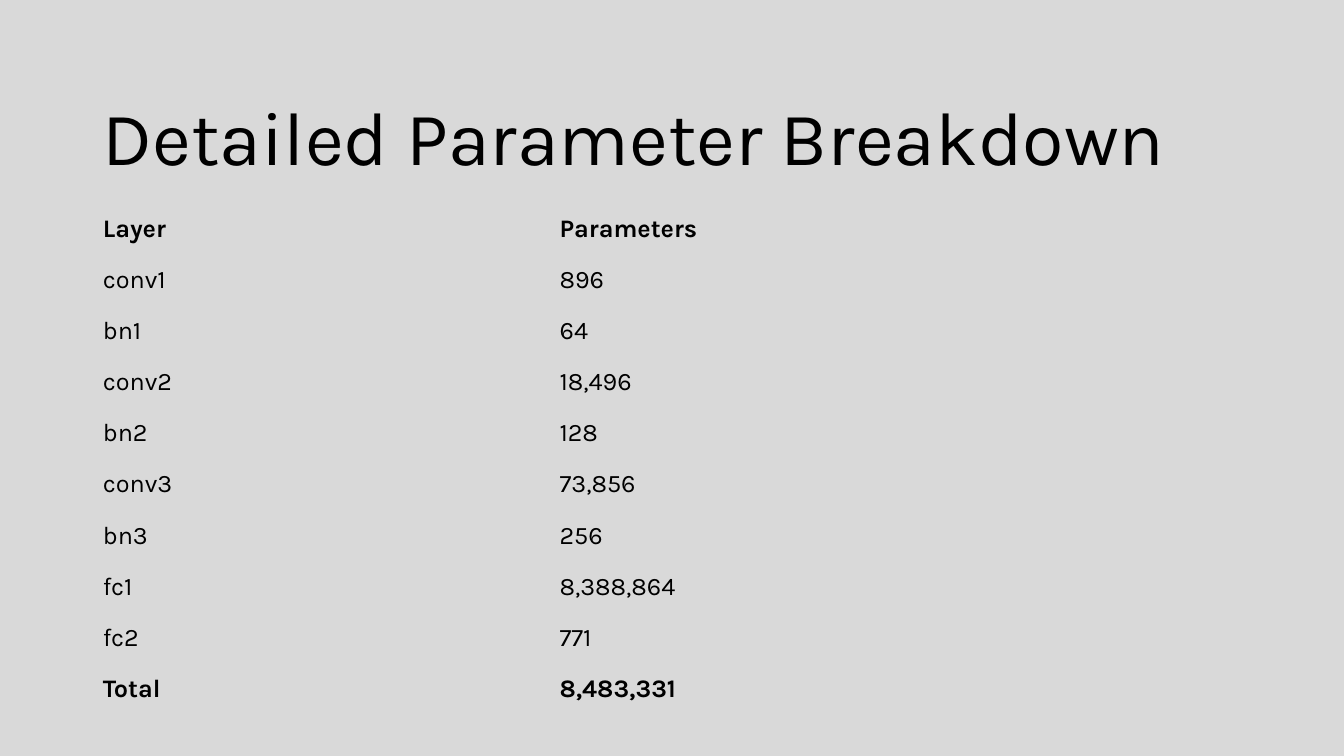
"""Build the slide listing the parameter count of each network layer."""
from pptx import Presentation
from pptx.dml.color import RGBColor
from pptx.enum.text import MSO_ANCHOR
from pptx.util import Inches, Pt

TITLE = "Detailed Parameter Breakdown"
ROWS = [
    ("Layer", "Parameters"),
    ("conv1", "896"),
    ("bn1", "64"),
    ("conv2", "18,496"),
    ("bn2", "128"),
    ("conv3", "73,856"),
    ("bn3", "256"),
    ("fc1", "8,388,864"),
    ("fc2", "771"),
    ("Total", "8,483,331"),
]
BOLD_ROWS = (0, len(ROWS) - 1)
FONT = "Karla"
BLACK = RGBColor(0x00, 0x00, 0x00)
GREY = RGBColor(0xD9, 0xD9, 0xD9)
NO_GRID_STYLE = "{2D5ABB26-0587-4C30-8999-92F81FD0307C}"
LEFT = 0.92
COL_W, ROW_H = 4.53, 0.507


def write(tf, text, size=18, bold=False, spacing=None):
    """Put one formatted paragraph into a text frame."""
    p = tf.paragraphs[0]
    p.line_spacing = spacing
    r = p.add_run()
    r.text = text
    r.font.name = FONT
    r.font.size = Pt(size)
    r.font.bold = bold
    r.font.color.rgb = BLACK


def add_title(s):
    """Add the slide title."""
    sp = s.shapes.add_textbox(Inches(LEFT), Inches(0.4), Inches(11.5), Inches(2))
    tf = sp.text_frame
    tf.word_wrap = True
    tf.vertical_anchor = MSO_ANCHOR.MIDDLE
    write(tf, TITLE, size=54, spacing=0.9)


def add_layer_table(s):
    """Add the borderless table of layers."""
    n_cols = len(ROWS[0])
    frame = s.shapes.add_table(
        len(ROWS), n_cols, Inches(LEFT), Inches(2.02),
        Inches(COL_W * n_cols), Inches(ROW_H * len(ROWS)))
    table = frame.table
    table.first_row = table.horz_banding = False
    table._tbl.tblPr[0].text = NO_GRID_STYLE
    for i, row in enumerate(ROWS):
        for j, text in enumerate(row):
            cell = table.cell(i, j)
            cell.fill.background()
            cell.vertical_anchor = MSO_ANCHOR.MIDDLE
            write(cell.text_frame, text, bold=i in BOLD_ROWS)


def main():
    """Build and save the presentation."""
    prs = Presentation()
    prs.slide_width, prs.slide_height = Inches(13.33), Inches(7.5)
    s = prs.slides.add_slide(prs.slide_layouts[6])
    s.background.fill.solid()
    s.background.fill.fore_color.rgb = GREY
    add_title(s)
    add_layer_table(s)
    prs.save("out.pptx")


if __name__ == "__main__":
    main()
